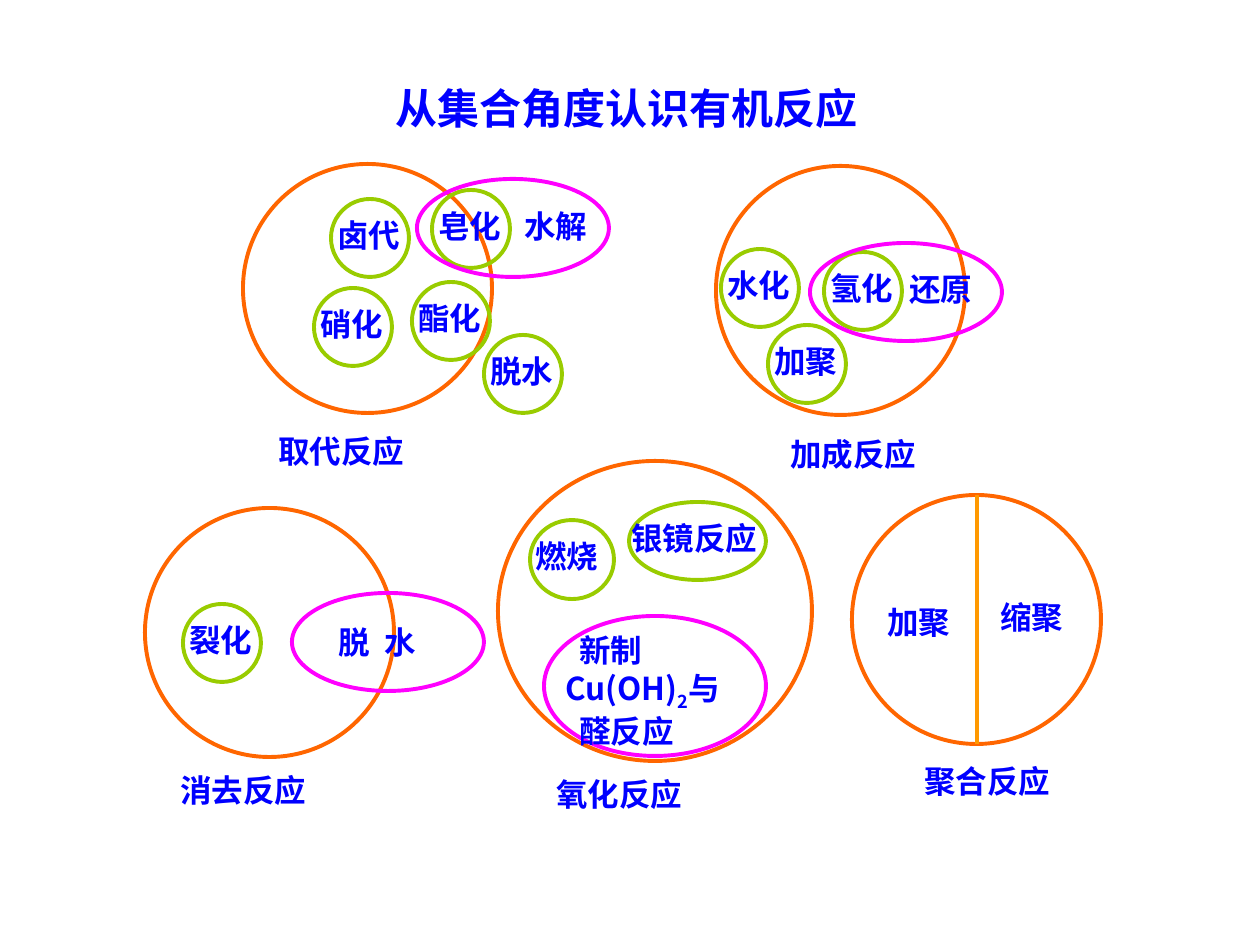
from lxml.etree import SubElement
from pptx import Presentation
from pptx.dml.color import RGBColor
from pptx.enum.shapes import MSO_CONNECTOR, MSO_SHAPE
from pptx.enum.text import MSO_ANCHOR, MSO_AUTO_SIZE, PP_ALIGN
from pptx.oxml.ns import qn
from pptx.util import Emu, Inches, Pt

FONT = "Noto Sans CJK SC"
BLUE, ORANGE, GREEN, MAGENTA = "0000FF", "FF6600", "99CC00", "FF00FF"
BIG, SMALL = 249, 78  # circle diameters


def px(*lengths):
    """Turn px (126 to the inch) into EMU."""
    return [Emu(round(n * 914400 / 126)) for n in lengths]


def write(sp, lines, size=18, spacing=None):
    """Fill a text shape; each line is a list of run texts."""
    tf = sp.text_frame
    tf.word_wrap = True
    tf.auto_size = MSO_AUTO_SIZE.SHAPE_TO_FIT_TEXT
    tf.vertical_anchor = MSO_ANCHOR.TOP
    for i, parts in enumerate(lines):
        p = tf.add_paragraph() if i else tf.paragraphs[0]
        p.alignment = PP_ALIGN.LEFT
        if spacing:
            p.line_spacing = spacing
        for part in parts:
            r = p.add_run()
            r.text = part
            r.font.size = Pt(size)
            r.font.bold = True
            r.font.color.rgb = RGBColor.from_string(BLUE)
            r.font.name = FONT
            SubElement(r.font._element, qn("a:ea"), typeface=FONT)
    return tf


prs = Presentation()
prs.slide_width, prs.slide_height = Inches(10), Inches(7.5)
s = prs.slides.add_slide(prs.slide_layouts[5])

title = s.shapes.title
title.left, title.top, title.width, title.height = px(383, 76, 537, 63)
write(title, [["从集合角度认识有机反应"]], size=24)

# Outlines: reaction classes, then their members, then the overlapping sets
members = [
    ("卤代", 331, 199), ("皂化", 432, 190), ("氢化", 824, 252),
    ("水化", 721, 249), ("加聚", 768, 325), ("裂化", 183, 604),
    ("硝化", 314, 288), ("酯化", 412, 282), ("脱水", 484, 335),
]
ovals = [
    (243, 164, BIG, BIG, ORANGE),
    (145, 508, BIG, BIG, ORANGE),
    (498, 461, 314, 300, ORANGE),
    (716, 166, BIG, BIG, ORANGE),
    (852, 495, BIG, BIG, ORANGE),
    *[(x, y, SMALL, SMALL, GREEN) for _, x, y in members],
    (629, 502, 137, SMALL, GREEN),
    (530, 520, 84, 79, GREEN),
    (417, 179, 192, 98, MAGENTA),
    (810, 243, 192, 98, MAGENTA),
    (292, 593, 192, 98, MAGENTA),
    (544, 616, 222, 140, MAGENTA),
]
for x, y, w, h, color in ovals:
    sp = s.shapes.add_shape(MSO_SHAPE.OVAL, *px(x, y, w, h))
    sp.shadow.inherit = False
    sp.fill.background()
    sp.line.color.rgb = RGBColor.from_string(color)
    sp.line.width = Pt(2.25)

divider = s.shapes.add_connector(MSO_CONNECTOR.STRAIGHT, *px(977, 495, 977, 744))
divider.line.color.rgb = RGBColor.from_string("FF9900")
divider.line.width = Pt(2.25)
SubElement(divider._element.spPr, qn("a:effectLst"))

# Names inside the sets
set_names = [
    *[(name, x - 6, y, 125) for name, x, y in members],
    ("水解", 512, 190, 144),
    ("还原", 897, 253, 158),
    ("银镜反应", 619, 502, 219),
    ("燃烧", 523, 520, 135),
    ("加聚", 875, 586, 125),
    ("缩聚", 988, 581, 125),
]
for name, x, y, w in set_names:
    write(s.shapes.add_textbox(*px(x, y, w, 62)), [[name]], spacing=1.3)

dehydration = s.shapes.add_textbox(*px(326, 606, 170, 62))
tf = write(dehydration, [["脱", " ", "水"]], spacing=1.3)
tf.paragraphs[0].runs[1].font._element.set("spc", "400")

aldehyde = s.shapes.add_textbox(*px(546, 625, 272, 131))
tf = write(aldehyde, [["新制"], ["Cu(OH)", "2", "与"], ["醛反应"]])
tf.paragraphs[1].runs[1].font._element.set("baseline", "-25000")
for p, indent in zip(tf.paragraphs, (21, 7, 21)):
    p._p.get_or_add_pPr().set("marL", str(px(indent)[0]))

# Class names below the circles
class_names = [
    ("取代反应", 266, 426), ("加成反应", 778, 429), ("消去反应", 168, 765),
    ("氧化反应", 544, 769), ("聚合反应", 912, 756),
]
for name, x, y in class_names:
    write(s.shapes.add_textbox(*px(x, y, 286, 50)), [[name]])

prs.save("out.pptx")
